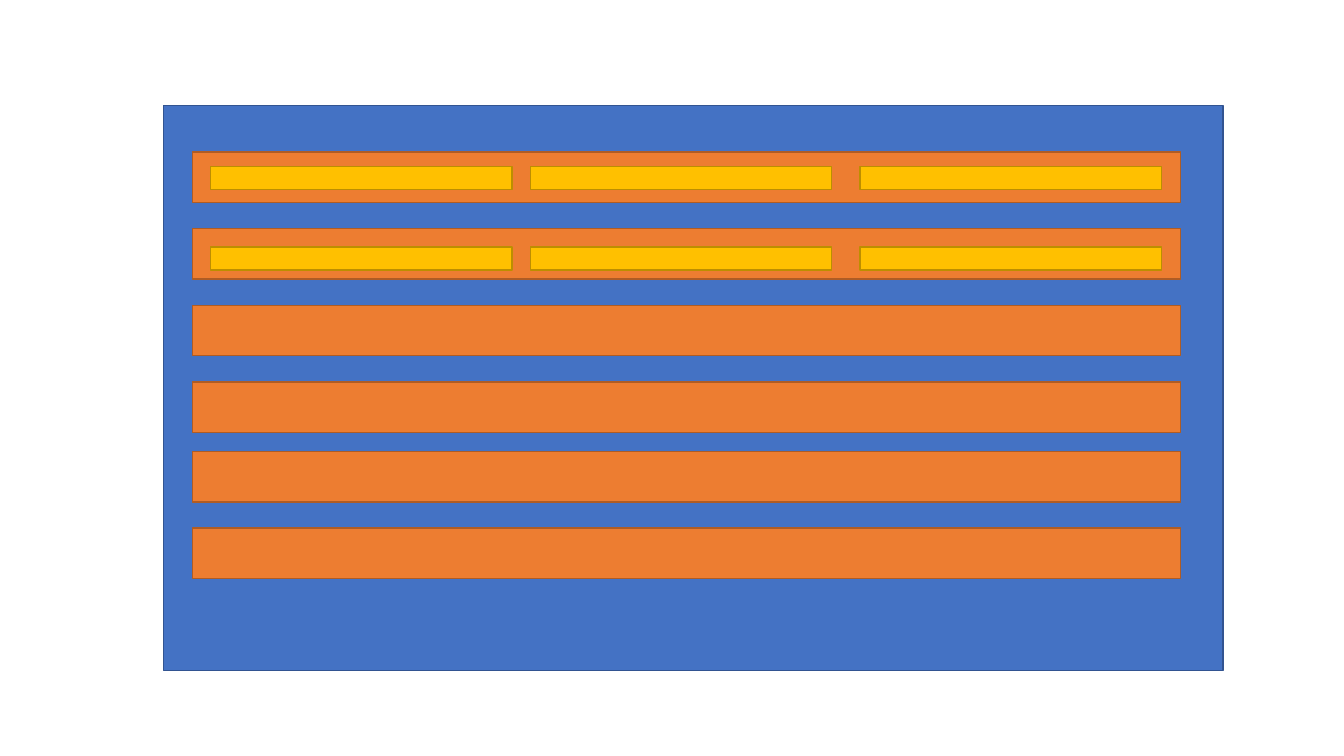
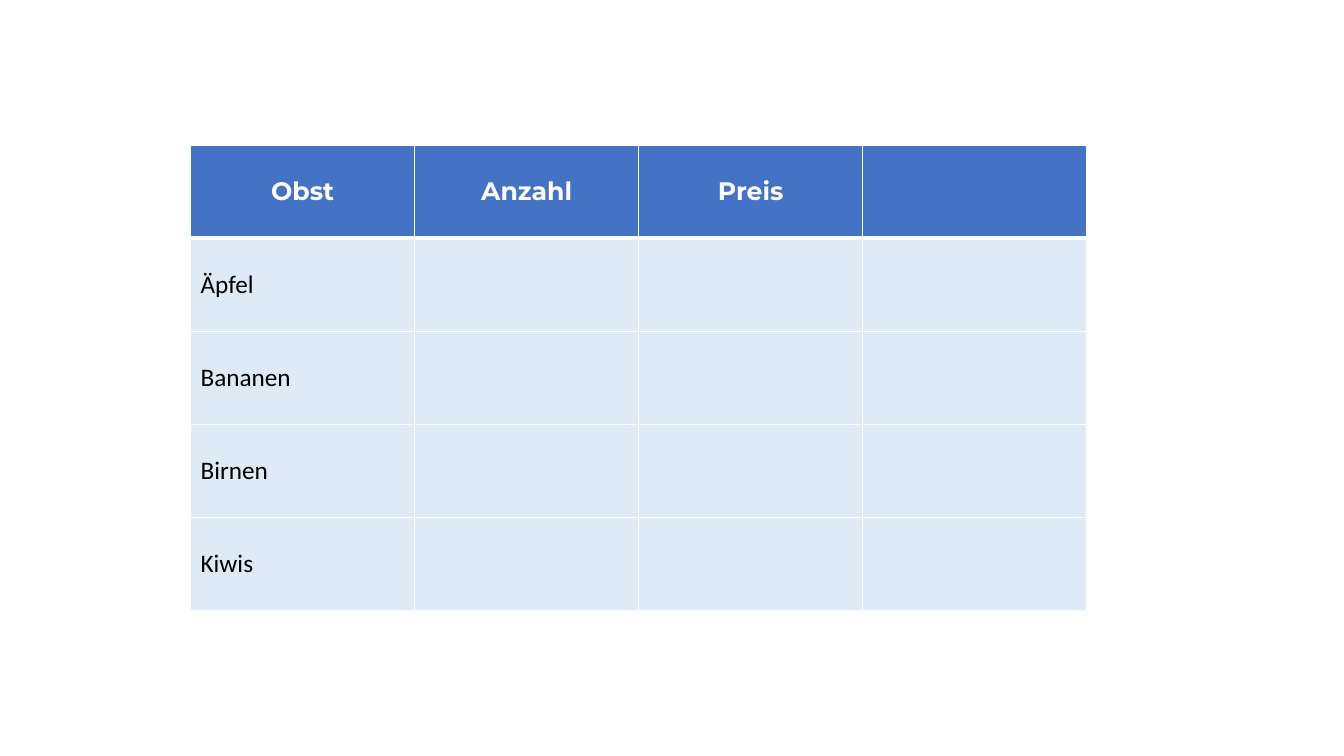
from dataclasses import dataclass
from itertools import product

from lxml import etree
from pptx import Presentation
from pptx import util as u
from pptx.dml.color import RGBColor
from pptx.enum import shapes, text
from pptx.oxml import ns

SLIDE_W, SLIDE_H = 13.33, 7.5
WHITE, BLACK = "FFFFFF", "000000"
BLUE, PALE_BLUE = "4472C4", "DEEBF7"

BAR_PITCH = 0.76
BAR_GROUPS = ((1.51, 4), (4.48, 2))  # top of the first bar, number of bars
BLOCK_LEFTS = (2.09, 5.26, 8.53)
BLOCK_TOPS = (1.65, 2.45)

TABLE_LEFT, TABLE_TOP, TABLE_W, TABLE_H = 1.89, 1.44, 8.89, 4.62
HEADINGS = ("Obst", "Anzahl", "Preis", "")
FRUITS = ("Äpfel", "Bananen", "Birnen", "Kiwis")


@dataclass(frozen=True)
class BoxStyle:
    width: float
    height: float
    fill: str
    line: str


@dataclass(frozen=True)
class CellStyle:
    fill: str
    color: str
    font: str
    bold: bool
    align: text.PP_ALIGN
    top: float
    bottom: float


PANEL = BoxStyle(10.51, 5.6, BLUE, "325491")
BAR = BoxStyle(9.8, 0.5, "ED7D31", "AF5C24")
BLOCK = BoxStyle(2.99, 0.23, "FFC000", "BD8E00")

HEADER = CellStyle(BLUE, WHITE, "Montserrat", True, text.PP_ALIGN.CENTER, 1, 3)
FIRST_BODY = CellStyle(PALE_BLUE, BLACK, "Calibri", False, text.PP_ALIGN.LEFT, 3, 1)
BODY = CellStyle(PALE_BLUE, BLACK, "Calibri", False, text.PP_ALIGN.LEFT, 1, 1)


def paint(fmt, color: str) -> None:
    """Give a fill one solid colour."""
    fmt.solid()
    fmt.fore_color.rgb = RGBColor.from_string(color)


def add_box(s, left: float, top: float, style: BoxStyle) -> None:
    sp = s.shapes.add_shape(
        shapes.MSO_SHAPE.RECTANGLE,
        *map(u.Inches, (left, top, style.width, style.height)),
    )
    sp.shadow.inherit = False
    paint(sp.fill, style.fill)
    paint(sp.line.fill, style.line)
    sp.line.width = u.Pt(1)


def add_borders(cell, style: CellStyle) -> None:
    """Draw white cell borders; they must precede the fill in the XML."""
    tc_pr = cell._tc.get_or_add_tcPr()
    for side, width in (("L", 1), ("R", 1), ("T", style.top), ("B", style.bottom)):
        ln = etree.SubElement(tc_pr, ns.qn(f"a:ln{side}"), w=str(u.Pt(width)))
        fill = etree.SubElement(ln, ns.qn("a:solidFill"))
        etree.SubElement(fill, ns.qn("a:srgbClr"), val=WHITE)


def fill_cell(cell, words: str, style: CellStyle) -> None:
    add_borders(cell, style)
    paint(cell.fill, style.fill)
    cell.vertical_anchor = text.MSO_ANCHOR.MIDDLE
    cell.text = words
    p = cell.text_frame.paragraphs[0]
    p.alignment = style.align
    p.font.name, p.font.size, p.font.bold = style.font, u.Pt(18), style.bold
    paint(p.font.fill, style.color)


def draw_layout(s) -> None:
    add_box(s, 1.62, 1.05, PANEL)
    for top, count in BAR_GROUPS:
        for i in range(count):
            add_box(s, 1.91, top + i * BAR_PITCH, BAR)
    for top, left in product(BLOCK_TOPS, BLOCK_LEFTS):
        add_box(s, left, top, BLOCK)


def draw_fruit_table(s) -> None:
    rows = [HEADINGS] + [(fruit, "", "", "") for fruit in FRUITS]
    styles = [HEADER, FIRST_BODY] + [BODY] * (len(rows) - 2)
    table = s.shapes.add_table(
        len(rows), len(HEADINGS),
        *map(u.Inches, (TABLE_LEFT, TABLE_TOP, TABLE_W, TABLE_H)),
    ).table
    for r, (row, style) in enumerate(zip(rows, styles)):
        for c, words in enumerate(row):
            fill_cell(table.cell(r, c), words, style)


def main() -> None:
    prs = Presentation()
    prs.slide_width, prs.slide_height = u.Inches(SLIDE_W), u.Inches(SLIDE_H)
    for draw in (draw_layout, draw_fruit_table):
        draw(prs.slides.add_slide(prs.slide_layouts[6]))
    prs.save("out.pptx")


if __name__ == "__main__":
    main()
